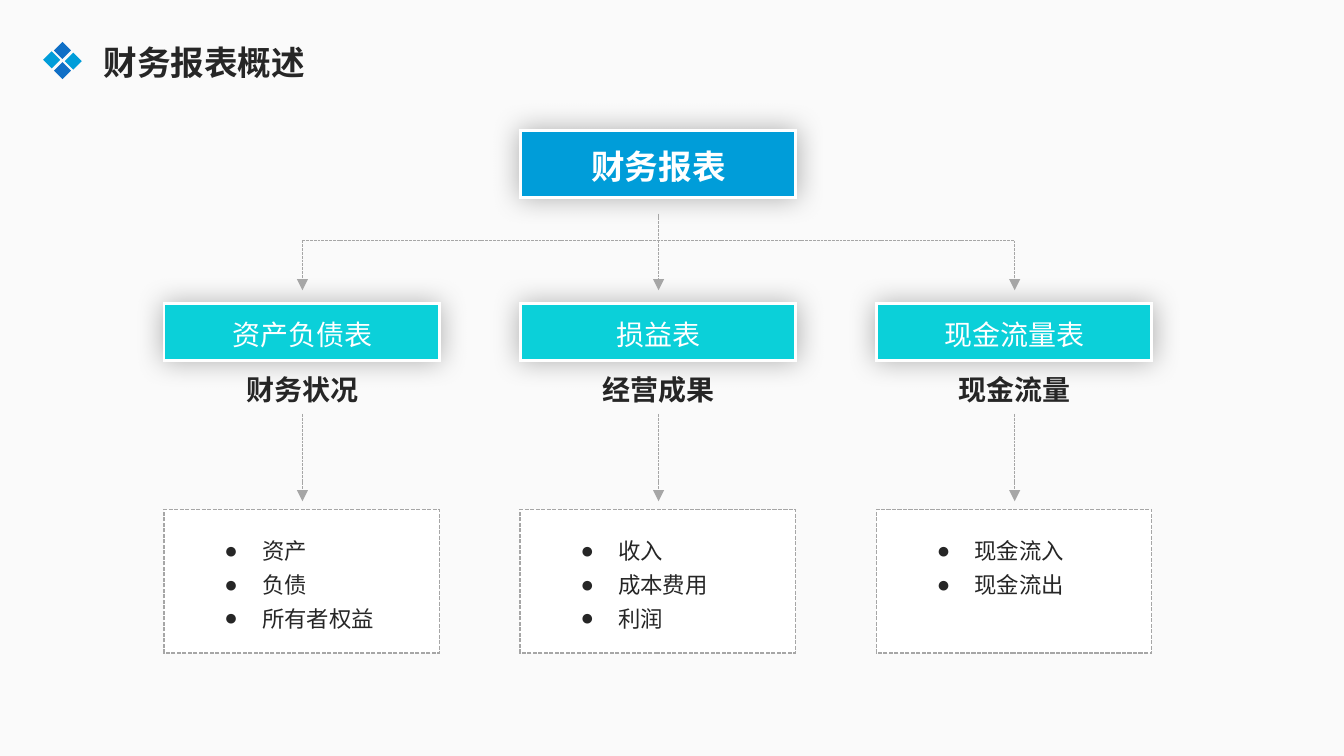
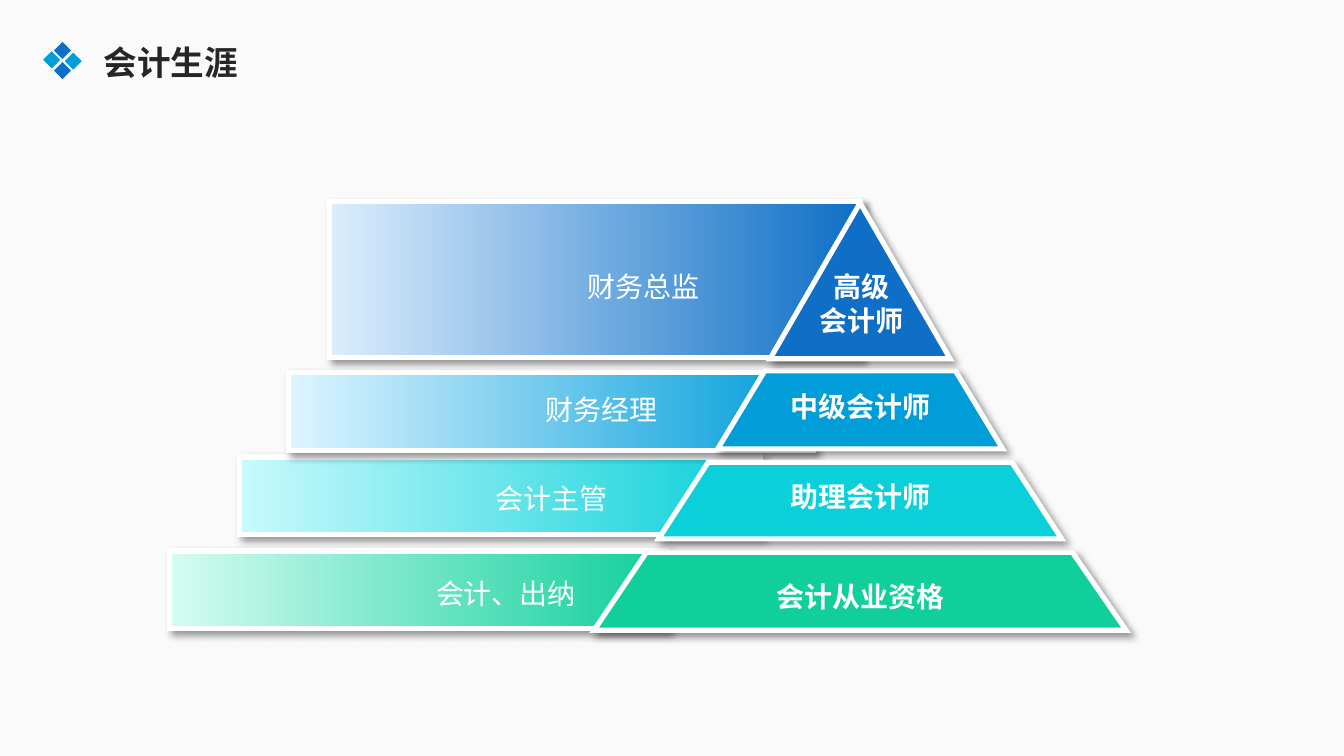
"""Build two slides: an overview of financial statements and an accounting career pyramid."""
import pptx
import pptx.util
import pptx.dml.color
import pptx.enum.dml
import pptx.enum.shapes
import pptx.enum.text
from lxml import etree

Inches, Pt = pptx.util.Inches, pptx.util.Pt
RGB = pptx.dml.color.RGBColor.from_string
RECT = pptx.enum.shapes.MSO_SHAPE.RECTANGLE
STRAIGHT = pptx.enum.shapes.MSO_CONNECTOR.STRAIGHT
DASH = pptx.enum.dml.MSO_LINE.SQUARE_DOT
ALIGN = pptx.enum.text.PP_ALIGN
A = "{http://schemas.openxmlformats.org/drawingml/2006/main}"
FONT = "Arial"
COLORS = {
    "bg": "FAFAFA", "text": "262626", "white": "FFFFFF", "gray": "A6A6A6", "black": "000000",
    "navy": "0F6FC6", "blue": "009DD9", "cyan": "0BD0D9", "green": "10CF9B",
    "pale_navy": "DCEDFC", "pale_blue": "DDF5FF", "pale_cyan": "C8FAFC", "pale_green": "D4FCF2",
}
GLOW = (30, 15, 0, 0)
DROP = (40, 4, 3, 45)


def write(sp, at, lines, size, color, bold=False, align=ALIGN.CENTER, bullet=False):
    sp.left, sp.top, sp.width, sp.height = [Inches(v) for v in at]
    tf = sp.text_frame
    tf.word_wrap = True
    tf.auto_size = pptx.enum.text.MSO_AUTO_SIZE.SHAPE_TO_FIT_TEXT
    tf.vertical_anchor = pptx.enum.text.MSO_ANCHOR.TOP
    for i, line in enumerate(lines):
        p = tf.paragraphs[0] if i == 0 else tf.add_paragraph()
        if bullet:
            pPr = p._p.get_or_add_pPr()
            pPr.set("marL", str(Inches(0.28)))
            pPr.set("indent", str(-Inches(0.28)))
            etree.SubElement(pPr, A + "buChar", char="●")
            p.line_spacing = 1.25
            p.space_before = Pt(0)
        p.alignment = align
        r = p.add_run()
        r.text = line
        r.font.name, r.font.size, r.font.bold = FONT, Pt(size), bold
        r.font.color.rgb = RGB(COLORS[color])


def style(sp, fill, line=None, width=0, shadow=None):
    sp.shadow.inherit = False
    if isinstance(fill, str):
        sp.fill.solid()
        sp.fill.fore_color.rgb = RGB(COLORS[fill])
    else:
        sp.fill.gradient()
        sp.fill.gradient_angle = 0
        for stop, color, pos in zip(sp.fill.gradient_stops, fill, (0, 1)):
            stop.color.rgb = RGB(COLORS[color])
            stop.position = pos
    if line:
        sp.line.color.rgb = RGB(COLORS[line])
        sp.line.width = Pt(width)
        etree.SubElement(sp.line._get_or_add_ln(), A + "miter", lim="800000")
    else:
        sp.line.fill.background()
    if shadow:
        alpha, blur, dist, angle = shadow
        effects = sp._element.spPr.find(A + "effectLst")
        outer = etree.SubElement(effects, A + "outerShdw", blurRad=str(Pt(blur)), dist=str(Pt(dist)),
                                 dir=str(angle * 60000), algn="ctr", rotWithShape="0")
        clr = etree.SubElement(outer, A + "srgbClr", val=COLORS["black"])
        etree.SubElement(clr, A + "alpha", val=str(alpha * 1000))


prs = pptx.Presentation()
prs.slide_width = Inches(10)
prs.slide_height = prs.slide_width * 9 // 16
bg = prs.slide_master.background.fill
bg.solid()
bg.fore_color.rgb = RGB(COLORS["bg"])

slides = []
diamonds = [(0.34, 0.4, "blue"), (0.42, 0.33, "navy"), (0.42, 0.48, "navy"), (0.5, 0.41, "blue")]
for layout, title in [(4, "财务报表概述"), (5, "会计生涯")]:
    s = prs.slides.add_slide(prs.slide_layouts[layout])
    write(s.shapes.title, (0.67, 0.26, 4.23, 0.4), [title], 18, "text", True, ALIGN.LEFT)
    for x, y, color in diamonds:
        sp = s.shapes.add_shape(RECT, Inches(x), Inches(y), Inches(0.09), Inches(0.09))
        sp.rotation = 315
        style(sp, color)
    slides.append(s)

s = slides[0]
bodies = {sp.placeholder_format.idx: sp for sp in s.placeholders}
bodies[3].element.getparent().remove(bodies[3].element)
statements = [
    ("资产负债表", "财务状况", ["资产", "负债", "所有者权益"], 1),
    ("损益表", "经营成果", ["收入", "成本费用", "利润"], 2),
    ("现金流量表", "现金流量", ["现金流入", "现金流出"], 4),
]
left, pitch, width, trunk = 1.22, 2.65, 2.05, 1.79
centers = [2.25 + pitch * i for i in range(3)]

sp = s.shapes.add_shape(RECT, Inches(left + pitch), Inches(0.97), Inches(width), Inches(0.5))
style(sp, "blue", "white", 1.5, GLOW)
write(s.shapes.add_textbox(0, 0, 0, 0), (4.16, 1.04, 1.48, 0.4), ["财务报表"], 18, "white", True)

for i, (name, topic, items, idx) in enumerate(statements):
    x = left + pitch * i
    sp = s.shapes.add_shape(RECT, Inches(x), Inches(3.79), Inches(width), Inches(1.07))
    style(sp, "white", "gray", 0.75)
    sp.line.dash_style = DASH
    body = bodies[idx]
    body.element.getparent().append(body.element)
    write(body, (x + 0.35, 3.9, 1.36, 0.02 + 0.28 * len(items)), items, 12, "text",
          align=ALIGN.LEFT, bullet=True)
    sp = s.shapes.add_shape(RECT, Inches(x), Inches(2.26), Inches(width), Inches(0.42))
    style(sp, "cyan", "white", 1.5, GLOW)
    write(s.shapes.add_textbox(0, 0, 0, 0), (x + 0.1, 2.31, 1.86, 0.35), [name], 15, "white")
    write(s.shapes.add_textbox(0, 0, 0, 0), (x + 0.1, 2.72, 1.86, 0.35), [topic], 15, "text", True)

arrows = [(x, 3.08, x, 3.73, True) for x in centers]
arrows += [(x, 1.59 if x == centers[1] else trunk, x, 2.16, True) for x in centers]
arrows.append((centers[0], trunk, centers[2], trunk, False))
for x1, y1, x2, y2, head in arrows:
    c = s.shapes.add_connector(STRAIGHT, Inches(x1), Inches(y1), Inches(x2), Inches(y2))
    c.line.color.rgb = RGB(COLORS["gray"])
    c.line.width = Pt(0.5)
    c.line.dash_style = DASH
    if head:
        etree.SubElement(c.line._get_or_add_ln(), A + "tailEnd", type="triangle")
    etree.SubElement(c._element.spPr, A + "effectLst")

s = slides[1]
bars = [
    (1.26, 4.1, 3.7, 0.58, "green", "会计、出纳", 3.01, 4.24),
    (1.78, 3.4, 3.88, 0.58, "cyan", "会计主管", 3.35, 3.53),
    (2.15, 2.77, 3.9, 0.58, "blue", "财务经理", 3.72, 2.87),
    (2.45, 1.5, 3.95, 1.16, "navy", "财务总监", 4.03, 1.96),
]
tiers = [
    ([(4.81, 4.11), (7.98, 4.11), (8.38, 4.69), (4.42, 4.69)], "green", ["会计从业资格"], (5.21, 4.26, 2.38, 0.35)),
    ([(5.27, 3.44), (7.53, 3.44), (7.9, 4.01), (4.9, 4.01)], "cyan", ["助理会计师"], (5.21, 3.52, 2.38, 0.35)),
    ([(5.69, 2.76), (7.11, 2.76), (7.46, 3.34), (5.34, 3.34)], "blue", ["中级会计师"], (5.21, 2.85, 2.38, 0.35)),
    ([(6.4, 1.51), (7.07, 2.67), (5.73, 2.67)], "navy", ["高级", "会计师"], (5.71, 1.96, 1.4, 0.61)),
]
for x, y, w, h, color, job, job_x, job_y in bars:
    sp = s.shapes.add_shape(RECT, Inches(x), Inches(y), Inches(w), Inches(h))
    style(sp, ("pale_" + color, color), "white", 2.75, DROP)
    write(s.shapes.add_textbox(0, 0, 0, 0), (job_x, job_y, 1.51, 0.35), [job], 15, "white")
for points, color, grade, at in tiers:
    corners = [(Inches(x), Inches(y)) for x, y in points]
    fb = s.shapes.build_freeform(*corners[0])
    fb.add_line_segments(corners[1:], close=True)
    style(fb.convert_to_shape(), color, "white", 2.75, DROP)
    write(s.shapes.add_textbox(0, 0, 0, 0), at, grade, 15, "white", True)

prs.save("out.pptx")
